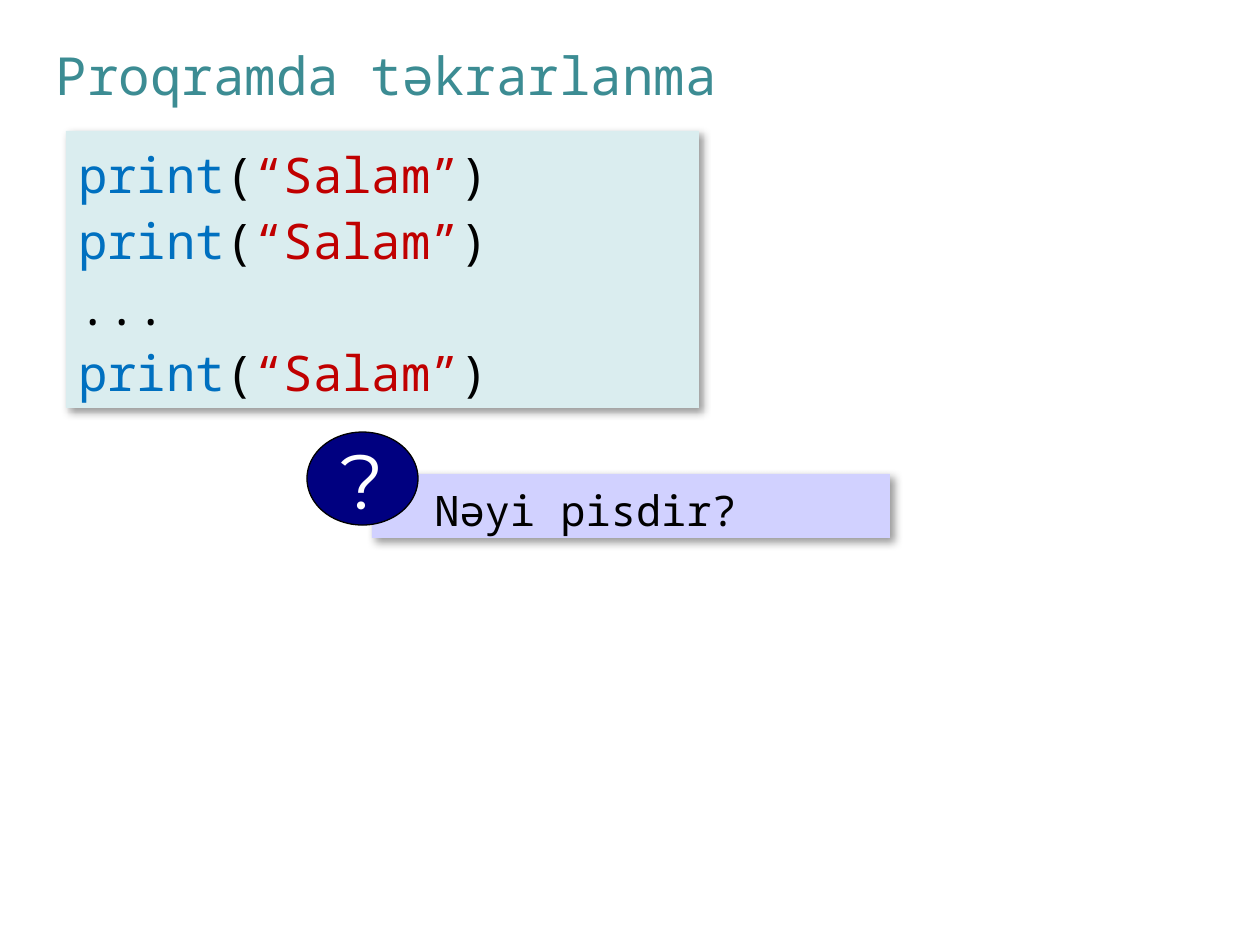
from dataclasses import dataclass
from typing import Optional

from lxml import etree
from pptx import Presentation
from pptx.dml.color import RGBColor
from pptx.enum.shapes import MSO_SHAPE
from pptx.enum.text import MSO_ANCHOR, PP_ALIGN
from pptx.oxml.ns import qn
from pptx.util import Emu, Pt

RECT, OVAL = MSO_SHAPE.RECTANGLE, MSO_SHAPE.OVAL
TOP, MIDDLE = MSO_ANCHOR.TOP, MSO_ANCHOR.MIDDLE
LEFT, CENTER = PP_ALIGN.LEFT, PP_ALIGN.CENTER
EMU_PER_PX = 914400 / 126


@dataclass(frozen=True)
class Theme:
    mono: str = "Noto Sans Mono"
    sans: str = "Montserrat"
    title: str = "3C8C93"
    code_fill: str = "DAEDEF"
    keyword: str = "0070C0"
    string: str = "C00000"
    black: str = "000000"
    white: str = "FFFFFF"
    question_fill: str = "D1D1FF"
    badge_fill: str = "000080"
    title_size: int = 30
    code_size: int = 28
    question_size: int = 24
    badge_size: int = 44


T = Theme()


@dataclass(frozen=True)
class Box:
    x: int
    y: int
    w: int
    h: int
    fill: str
    shape: MSO_SHAPE = RECT
    line: Optional[str] = None
    shadow: bool = False


CODE = Box(66, 131, 633, 277, T.code_fill, shadow=True)
QUESTION = Box(372, 474, 518, 64, T.question_fill, shadow=True)
BADGE = Box(307, 432, 111, 93, T.badge_fill, OVAL, T.black)

PRINT_LINE = [("print", T.keyword), ("(", T.black),
              ("“Salam”", T.string), (")", T.black)]
CODE_LINES = [PRINT_LINE, PRINT_LINE, [("...", T.black)], PRINT_LINE]


def px(n: int) -> Emu:
    return Emu(round(n * EMU_PER_PX))


def add_shadow(sp) -> None:
    effects = sp._element.spPr.find(qn("a:effectLst"))
    shadow = etree.SubElement(effects, qn("a:outerShdw"), blurRad=str(Pt(5)),
                              dist=str(Pt(3)), dir="2700000", algn="tl",
                              rotWithShape="0")
    color = etree.SubElement(shadow, qn("a:srgbClr"), val=T.black)
    etree.SubElement(color, qn("a:alpha"), val="40000")


def add_box(shapes, box: Box):
    sp = shapes.add_shape(box.shape, px(box.x), px(box.y), px(box.w), px(box.h))
    sp.fill.solid()
    sp.fill.fore_color.rgb = RGBColor.from_string(box.fill)
    if box.line:
        sp.line.color.rgb = RGBColor.from_string(box.line)
        sp.line.width = Pt(0.75)
    else:
        sp.line.fill.background()
    sp.shadow.inherit = False
    if box.shadow:
        add_shadow(sp)
    return sp


def write(sp, lines: list, *, size: int, font: str = T.mono, align=LEFT,
          anchor=TOP, wrap: bool = True, margin: int = 0, indent: int = 0,
          spacing: Optional[float] = None) -> None:
    tf = sp.text_frame
    tf.word_wrap = wrap
    tf.vertical_anchor = anchor
    for i, line in enumerate(lines):
        p = tf.add_paragraph() if i else tf.paragraphs[0]
        p.alignment = align
        if spacing:
            p.line_spacing = Pt(spacing)
        if margin:
            pPr = p._p.get_or_add_pPr()
            pPr.set("marL", str(px(margin)))
            pPr.set("indent", str(px(indent)))
        for text, color in line:
            r = p.add_run()
            r.text = text
            r.font.name = font
            r.font.size = Pt(size)
            r.font.color.rgb = RGBColor.from_string(color)


def main() -> None:
    prs = Presentation()
    prs.slide_width, prs.slide_height = px(1260), px(945)
    s = prs.slides.add_slide(prs.slide_layouts[5])

    title = s.shapes.title
    title.left, title.top, title.width, title.height = map(px, (43, 42, 1154, 66))
    write(title, [[("Proqramda təkrarlanma", T.title)]], size=T.title_size,
          anchor=MIDDLE)

    write(add_box(s.shapes, CODE), CODE_LINES, size=T.code_size,
          margin=24, indent=-24, spacing=37.7)

    group = s.shapes.add_group_shape()
    write(add_box(group.shapes, QUESTION), [[("Nəyi pisdir?", T.black)]],
          size=T.question_size, margin=50, spacing=31)
    write(add_box(group.shapes, BADGE), [[("?", T.white)]], size=T.badge_size,
          font=T.sans, align=CENTER, anchor=MIDDLE, wrap=False)

    prs.save("out.pptx")


if __name__ == "__main__":
    main()
